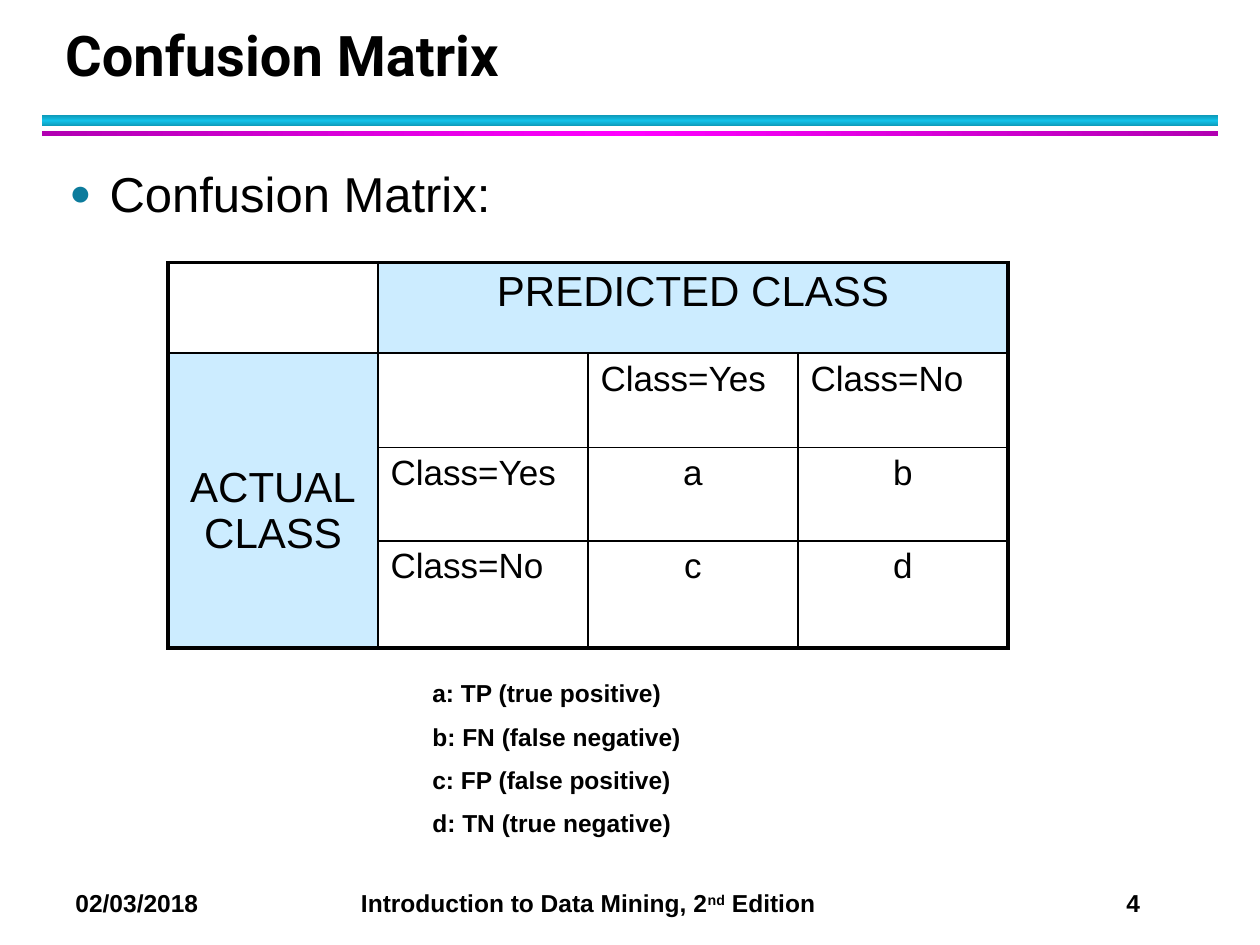
from copy import deepcopy

from lxml import etree
from pptx import Presentation, util as u
from pptx.dml import color
from pptx.enum import shapes, text
from pptx.oxml import ns

BLACK, TINT, BULLET = "000000", "CCECFF", "0C7B9C"
CYAN, MAGENTA = ("0E9BBA", "12C2E9"), ("B200B2", "FF00FF")


def rgb(value):
    """Turn a hex string into a colour."""
    return color.RGBColor.from_string(value)


def child(parent, tag, **attributes):
    """Append a drawing element with the given attributes."""
    return etree.SubElement(parent, ns.qn(tag), attributes)


class Deck:
    """Hold the style and the current slide, on a grid of 120 by 90 units."""

    def __init__(self):
        self.prs = Presentation()
        self.prs.slide_width, self.prs.slide_height = u.Inches(10), u.Inches(7.5)
        self.slide = self.prs.slides.add_slide(self.prs.slide_layouts[1])

    def grid(self, *units):
        """Convert grid units to lengths."""
        return [round(n * self.prs.slide_width / 120) for n in units]

    def add_text(self, paragraph, content, size, bold=False, font="Arial", raised=False):
        """Add one run."""
        run = paragraph.add_run()
        run.text = content
        run.font.size, run.font.bold, run.font.name = u.Pt(size), bold, font
        run.font.color.rgb = rgb(BLACK)
        if raised:
            run._r.get_or_add_rPr().set("baseline", "30000")

    def band(self, place, edge, middle, angle):
        """Draw a rule shaded from edge to middle to edge."""
        rule = self.slide.shapes.add_shape(shapes.MSO_SHAPE.RECTANGLE, *self.grid(*place))
        rule.shadow.inherit = False
        rule.line.fill.background()
        rule.fill.gradient()
        rule.fill.gradient_angle = angle
        stops = rule._element.spPr.find(".//" + ns.qn("a:gsLst"))
        stops.insert(1, deepcopy(stops[0]))
        for stop, tone, position in zip(rule.fill.gradient_stops, (edge, middle, edge), (0, 0.5, 1)):
            stop.color.rgb, stop.position = rgb(tone), position

    def placeholder(self, index, place, anchor):
        """Place a template placeholder and return its first paragraph."""
        holder = self.slide.placeholders[index]
        holder.left, holder.top, holder.width, holder.height = self.grid(*place)
        holder.text_frame.auto_size = text.MSO_AUTO_SIZE.NONE
        holder.text_frame.vertical_anchor = anchor
        paragraph = holder.text_frame.paragraphs[0]
        paragraph.alignment, paragraph.space_before = text.PP_ALIGN.LEFT, u.Pt(0)
        return paragraph

    def title(self, content, place):
        """Fill the title."""
        paragraph = self.placeholder(0, place, text.MSO_ANCHOR.BOTTOM)
        paragraph.line_spacing = u.Pt(36)
        self.add_text(paragraph, content, 32, True, "Roboto")

    def bullet(self, content, place):
        """Fill the body with one bullet."""
        paragraph = self.placeholder(1, place, text.MSO_ANCHOR.TOP)
        paragraph.space_after = u.Pt(4)
        props = paragraph._p.get_or_add_pPr()
        props.set("marL", str(u.Inches(0.32)))
        props.set("indent", str(u.Inches(-0.32)))
        child(child(props, "a:buClr"), "a:srgbClr", val=BULLET)
        child(props, "a:buSzPct", val="75000")
        child(props, "a:buFont", typeface="Arial")
        child(props, "a:buChar", char="●")
        self.add_text(paragraph, content, 28)

    def textbox(self, place):
        """Add a wrapping text box and return its frame."""
        frame = self.slide.shapes.add_textbox(*self.grid(*place)).text_frame
        frame.word_wrap = True
        return frame

    def lines(self, contents, place):
        """Add a box of bold lines."""
        frame = self.textbox(place)
        for index, content in enumerate(contents):
            paragraph = frame.add_paragraph() if index else frame.paragraphs[0]
            paragraph.space_before = u.Pt(8 if index else 0)
            self.add_text(paragraph, content, 14, True)

    def footer(self, runs, place, tabs):
        """Add a tabbed line of (content, raised) runs."""
        paragraph = self.textbox(place).paragraphs[0]
        stops = child(paragraph._p.get_or_add_pPr(), "a:tabLst")
        for position in self.grid(*tabs):
            child(stops, "a:tab", pos=str(position), algn="l")
        for content, raised in runs:
            self.add_text(paragraph, content, 14, True, raised=raised)

    def borders(self, cell, outer):
        """Outline a cell, heavier on the outer edges."""
        props = cell._tc.get_or_add_tcPr()
        for side, heavy in zip("LRTB", outer):
            line = child(props, f"a:ln{side}", w=str(u.Pt(2.25 if heavy else 1)))
            child(child(line, "a:solidFill"), "a:srgbClr", val=BLACK)

    def matrix(self, rows, place, heights, merges):
        """Add the table with its headings merged and tinted."""
        width = len(rows[0])
        frame = self.slide.shapes.add_table(len(rows), width, *self.grid(*place))
        table = frame.table
        table.first_row = table.horz_banding = False
        for row, height in zip(table.rows, heights):
            row.height = u.Inches(height)
        for start, end in merges:
            table.cell(*start).merge(table.cell(*end))
        for r, row in enumerate(rows):
            for c, content in enumerate(row):
                cell = table.cell(r, c)
                heading = cell.is_merge_origin
                self.borders(cell, (c == 0, c + cell.span_width >= width,
                                    r == 0, r + cell.span_height >= len(rows)))
                if heading:
                    cell.fill.solid()
                    cell.fill.fore_color.rgb = rgb(TINT)
                else:
                    cell.fill.background()
                if cell.span_height > 1:
                    cell.margin_top = u.Inches(0.88)
                paragraph = cell.text_frame.paragraphs[0]
                paragraph.space_after = u.Pt(4)
                if heading or len(content) == 1:
                    paragraph.alignment = text.PP_ALIGN.CENTER
                for index, part in enumerate(content.split("\n") if content else []):
                    if index:
                        paragraph.add_line_break()
                    self.add_text(paragraph, part, 24 if heading else 20)


def main():
    """Build the slide."""
    deck = Deck()
    deck.band((4, 11, 112, 1), *CYAN, 90)
    deck.band((4, 12.5, 112, 0.5), *MAGENTA, 0)
    deck.footer([("02/03/2018\tIntroduction to Data Mining, 2", False), ("nd", True),
                 (" Edition\t4", False)], (6, 84, 112, 4), (27.2, 100.1))
    deck.title("Confusion Matrix", (5, 2, 108.7, 7))
    deck.bullet("Confusion Matrix:", (5.4, 15, 109.2, 68))
    deck.matrix([["", "PREDICTED CLASS", "", ""],
                 ["ACTUAL\nCLASS", "", "Class=Yes", "Class=No"],
                 ["", "Class=Yes", "a", "b"],
                 ["", "Class=No", "c", "d"]],
                (16, 25, 80, 36.7), (0.72, 0.75, 0.74, 0.85),
                [((0, 1), (0, 3)), ((1, 0), (3, 0))])
    deck.lines(["a: TP (true positive)", "b: FN (false negative)",
                "c: FP (false positive)", "d: TN (true negative)"], (40, 64, 29, 16.5))
    deck.prs.save("out.pptx")


if __name__ == "__main__":
    main()
